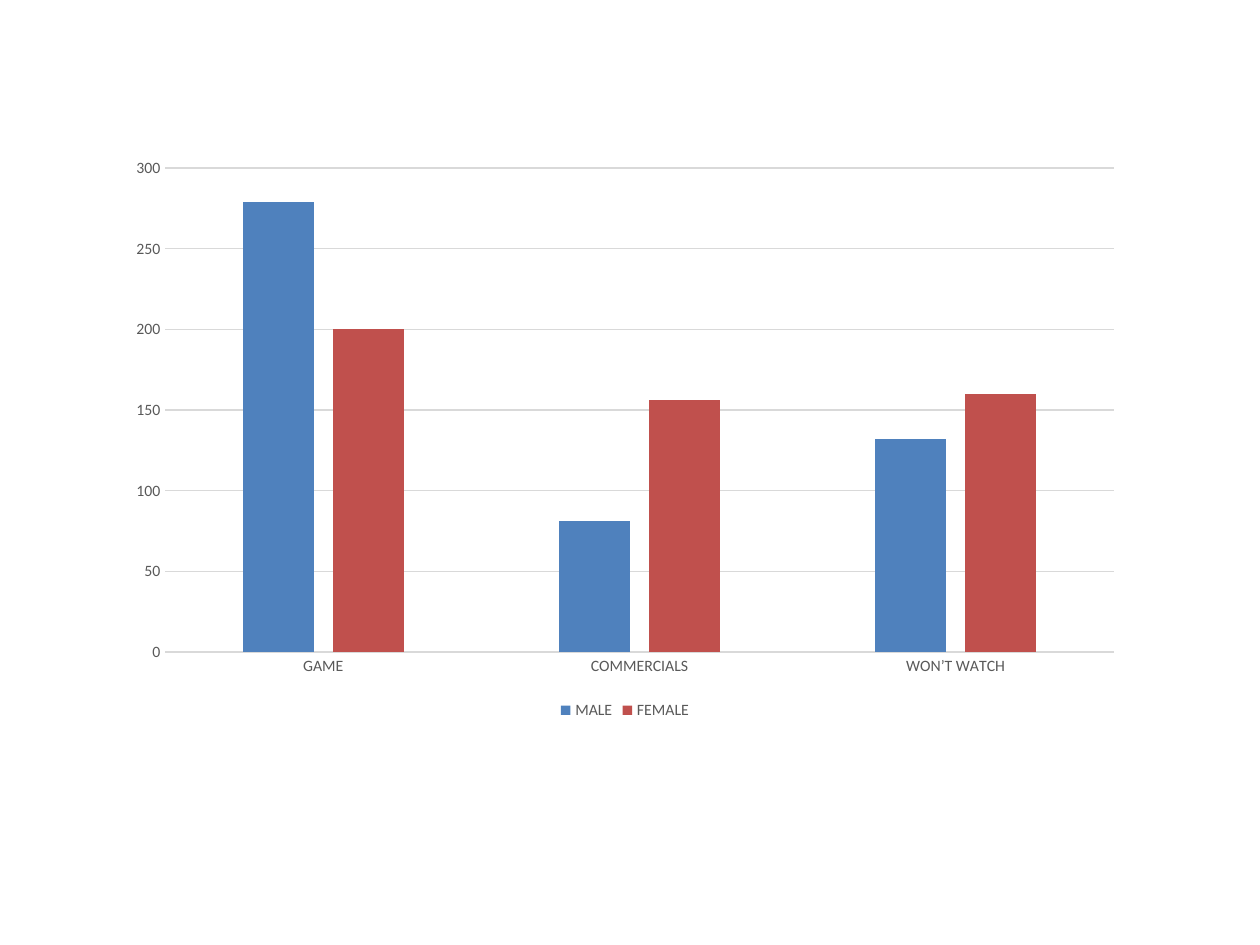
from pptx import Presentation
from pptx import util as u
from pptx.chart.data import CategoryChartData
from pptx.dml.color import RGBColor
from pptx.enum import chart as ch

CATS = ["GAME", "COMMERCIALS", "WON’T WATCH"]
SERIES = [("MALE", [279, 81, 132], "4F81BD"),
          ("FEMALE", [200, 156, 160], "C0504D")]
GRAY, RULE = "595959", "D9D9D9"


def paint(color, value):
    """Set a colour from a hex string."""
    color.rgb = RGBColor.from_string(value)


def style(font):
    """Give chart text its font, size and colour."""
    font.name, font.size = "Calibri", u.Pt(9)
    paint(font.color, GRAY)


def rule(line):
    """Draw a thin light gray line."""
    line.width = u.Pt(0.75)
    paint(line.color, RULE)


def set_axis(axis):
    """Style an axis without tick marks."""
    axis.major_tick_mark = axis.minor_tick_mark = ch.XL_TICK_MARK.NONE
    style(axis.tick_labels.font)


def add_bars(slide):
    """Add the clustered column chart of viewers by gender."""
    data = CategoryChartData()
    data.categories = CATS
    for name, vals, _ in SERIES:
        data.add_series(name, vals)
    box = [u.Inches(n) for n in (0.92, 1.17, 8.08, 4.58)]
    chart = slide.shapes.add_chart(
        ch.XL_CHART_TYPE.COLUMN_CLUSTERED, *box, data).chart
    style(chart.font)
    chart.has_title = False
    chart.has_legend = True
    chart.legend.position = ch.XL_LEGEND_POSITION.BOTTOM
    chart.legend.include_in_layout = False
    style(chart.legend.font)

    plot = chart.plots[0]
    plot.gap_width, plot.overlap = 219, -27
    plot.vary_by_categories = False
    for bars, (_, _, color) in zip(plot.series, SERIES):
        bars.format.fill.solid()
        paint(bars.format.fill.fore_color, color)

    cat, val = chart.category_axis, chart.value_axis
    set_axis(cat)
    set_axis(val)
    rule(cat.format.line)
    val.format.line.fill.background()
    val.minimum_scale, val.maximum_scale, val.major_unit = 0, 300, 50
    rule(val.major_gridlines.format.line)


def main():
    """Build and save the slide."""
    prs = Presentation()
    prs.slide_width, prs.slide_height = u.Inches(10), u.Inches(7.5)
    slide = prs.slides.add_slide(prs.slide_layouts[6])
    add_bars(slide)
    prs.save("out.pptx")


if __name__ == "__main__":
    main()
